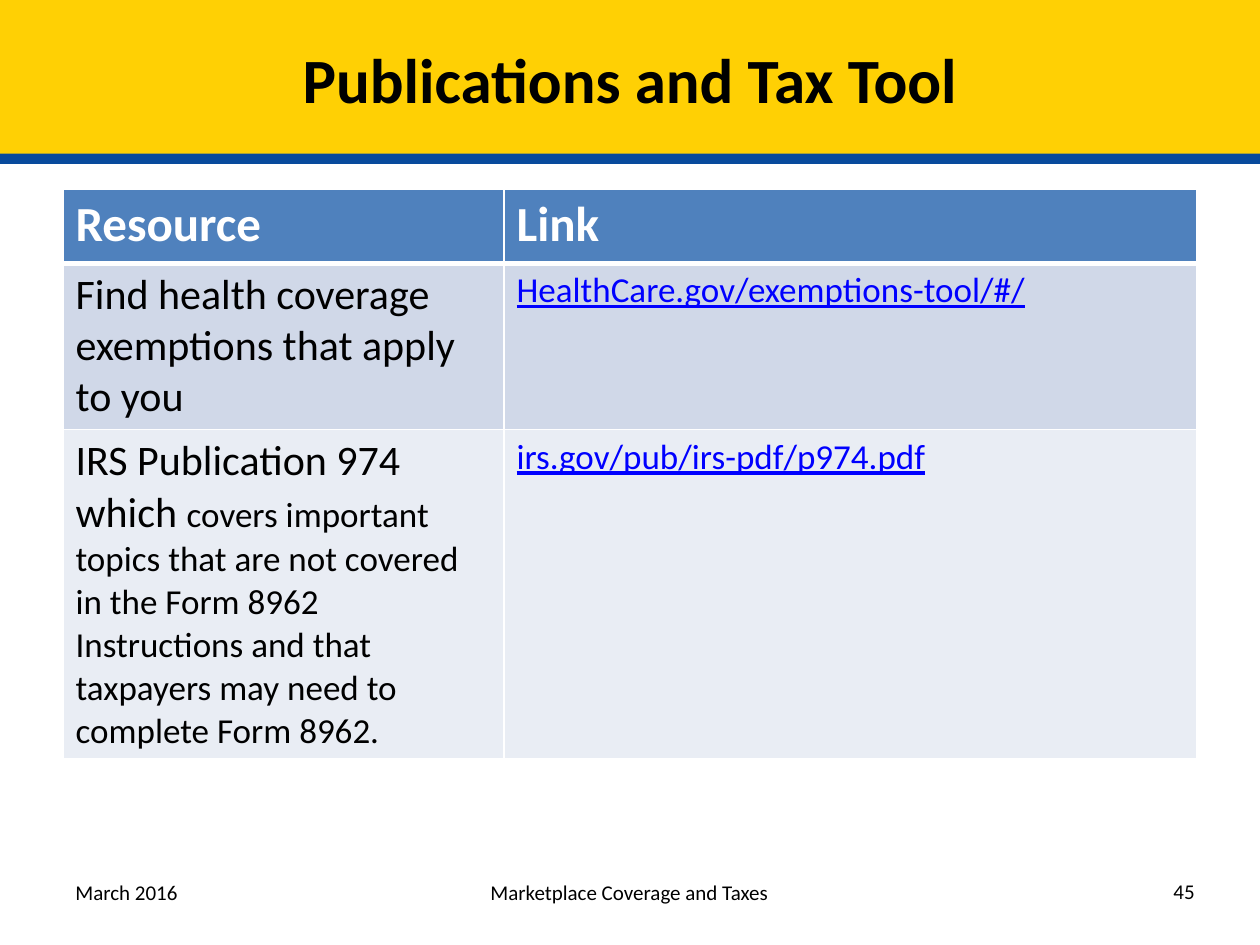
"""Build the slide of tax publications and tools."""
from dataclasses import dataclass

from lxml.etree import SubElement
from pptx import Presentation
from pptx.dml.color import RGBColor
from pptx.enum.shapes import MSO_SHAPE
from pptx.enum.text import MSO_ANCHOR, PP_ALIGN
from pptx.oxml.ns import qn
from pptx.util import Inches, Pt

FONT = "Calibri"
BLACK, WHITE, LINK_BLUE = "000000", "FFFFFF", "0000FF"
HEADER_FILL, ROW_FILLS = "4F81BD", ("D0D8E8", "E9EDF4")
COLUMN_WIDTHS, ROW_HEIGHTS = (3.5, 5.5), (0.59, 1.3, 2.57)


@dataclass(frozen=True)
class Phrase:
    text: str
    size: int
    color: str = BLACK
    bold: bool = False
    underline: bool = False


@dataclass(frozen=True)
class Footer:
    text: str
    left: float
    top: float
    width: float
    align: PP_ALIGN


TABLE_ROWS = (
    ((Phrase("Resource", 28, WHITE, bold=True),),
     (Phrase("Link", 28, WHITE, bold=True),)),
    ((Phrase("Find health coverage exemptions that apply to you ", 24),),
     (Phrase("HealthCare.gov/exemptions-tool/#/", 20, LINK_BLUE, underline=True),)),
    ((Phrase("IRS Publication 974 which ", 24),
      Phrase("covers important topics that are not covered in the Form 8962 "
             "Instructions and that taxpayers may need to complete Form 8962.", 20)),
     (Phrase("irs.gov/pub/irs-pdf/p974.pdf", 20, LINK_BLUE, underline=True),)),
)

FOOTERS = (
    Footer("Marketplace Coverage and Taxes", 2.83, 6.93, 4.33, PP_ALIGN.CENTER),
    Footer("March 2016", 0.5, 6.93, 2.33, PP_ALIGN.LEFT),
    Footer("45", 8.5, 6.92, 1.08, PP_ALIGN.RIGHT),
)


def rgb(color: str) -> RGBColor:
    """Turn a hex string into a colour."""
    return RGBColor.from_string(color)


def style_font(font, size: int, color: str = BLACK, bold: bool = False,
               underline: bool = False) -> None:
    """Set the face, size, colour and emphasis of a font."""
    font.name, font.size = FONT, Pt(size)
    font.bold, font.underline = bold, underline
    font.color.rgb = rgb(color)


def add_band(slide, top: float, height: float, color: str) -> None:
    """Draw a full-width band behind everything else."""
    band = slide.shapes.add_shape(MSO_SHAPE.RECTANGLE, Inches(0), Inches(top),
                                  Inches(10), Inches(height))
    band.shadow.inherit = False
    band.fill.solid()
    band.fill.fore_color.rgb = rgb(color)
    band.line.fill.background()
    slide.shapes._spTree.insert(2, band._element)


def format_title(slide, text: str) -> None:
    """Place and style the title placeholder."""
    title = slide.shapes.title
    title.left, title.top = Inches(0), Inches(0)
    title.width, title.height = Inches(10), Inches(1.25)
    title.text_frame.text = text
    title.text_frame.vertical_anchor = MSO_ANCHOR.MIDDLE
    heading = title.text_frame.paragraphs[0]
    heading.alignment = PP_ALIGN.CENTER
    style_font(heading.font, 36, bold=True)


def set_borders(cell, widths: dict[str, float]) -> None:
    """Draw white borders of the given widths around a cell."""
    properties = cell._tc.get_or_add_tcPr()
    for side, width in widths.items():
        border = SubElement(properties, qn(f"a:ln{side}"), w=str(Pt(width)))
        fill = SubElement(border, qn("a:solidFill"))
        SubElement(fill, qn("a:srgbClr"), val=WHITE)


def fill_cell(cell, phrases: tuple[Phrase, ...], row_index: int) -> None:
    """Write the phrases of a cell and set its borders and fill."""
    set_borders(cell, {"L": 1, "R": 1, "T": 3 if row_index == 1 else 1,
                       "B": 3 if row_index == 0 else 1})
    cell.fill.solid()
    cell.fill.fore_color.rgb = rgb((HEADER_FILL, *ROW_FILLS)[row_index])
    paragraph = cell.text_frame.paragraphs[0]
    for phrase in phrases:
        run = paragraph.add_run()
        run.text = phrase.text
        style_font(run.font, phrase.size, phrase.color, phrase.bold, phrase.underline)


def add_resources(slide) -> None:
    """Add the table of resources and links."""
    resources = slide.shapes.add_table(
        len(ROW_HEIGHTS), len(COLUMN_WIDTHS), Inches(0.5), Inches(1.5),
        Inches(sum(COLUMN_WIDTHS)), Inches(sum(ROW_HEIGHTS))).table
    for column, width in zip(resources.columns, COLUMN_WIDTHS):
        column.width = Inches(width)
    for row_index, (height, contents) in enumerate(zip(ROW_HEIGHTS, TABLE_ROWS)):
        row = resources.rows[row_index]
        row.height = Inches(height)
        for cell, phrases in zip(row.cells, contents):
            fill_cell(cell, phrases, row_index)


def add_footer(slide, footer: Footer) -> None:
    """Add one line of text at the foot of the slide."""
    frame = slide.shapes.add_textbox(Inches(footer.left), Inches(footer.top),
                                     Inches(footer.width), Inches(0.4)).text_frame
    frame.word_wrap = True
    frame.text = footer.text
    paragraph = frame.paragraphs[0]
    paragraph.alignment = footer.align
    style_font(paragraph.font, 12)


def main() -> None:
    """Build and save the presentation."""
    presentation = Presentation()
    presentation.slide_width, presentation.slide_height = Inches(10), Inches(7.5)
    slide = presentation.slides.add_slide(presentation.slide_layouts[5])
    add_band(slide, -0.03, 1.25, "FFD004")
    add_band(slide, 0.05, 1.25, "084A9C")
    format_title(slide, "Publications and Tax Tool")
    add_resources(slide)
    for footer in FOOTERS:
        add_footer(slide, footer)
    presentation.save("out.pptx")


main()
